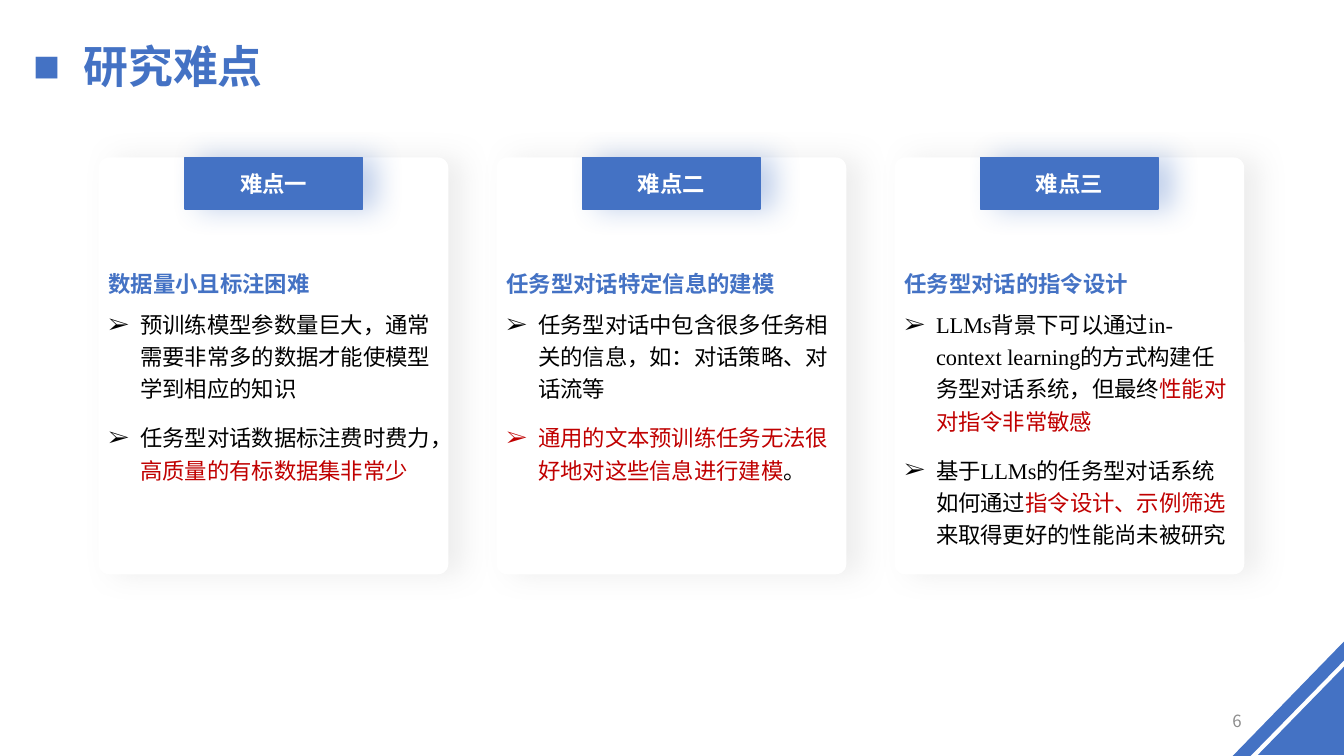
from dataclasses import dataclass

from lxml import etree
from pptx import Presentation
from pptx.dml.color import RGBColor
from pptx.enum.shapes import MSO_SHAPE
from pptx.enum.text import MSO_ANCHOR, MSO_AUTO_SIZE, PP_ALIGN
from pptx.oxml.ns import qn
from pptx.util import Emu, Pt

RECTANGLE = MSO_SHAPE.RECTANGLE
ROUNDED = MSO_SHAPE.ROUNDED_RECTANGLE
RIGHT_TRIANGLE = MSO_SHAPE.RIGHT_TRIANGLE
MIDDLE = MSO_ANCHOR.MIDDLE
GROW = MSO_AUTO_SIZE.SHAPE_TO_FIT_TEXT
CENTER = PP_ALIGN.CENTER
RIGHT = PP_ALIGN.RIGHT
EMU_PER_PX = 9525
PAGE_WIDTH, PAGE_HEIGHT = 1280, 720


@dataclass(frozen=True)
class Theme:
    blue: str = "4472C4"
    white: str = "FFFFFF"
    black: str = "000000"
    red: str = "C00000"
    gray: str = "8C8C8C"
    shade: str = "A6A6A6"
    latin: str = "Times New Roman"
    chinese: str = "Noto Sans CJK SC"
    title_size: int = 32
    text_size: int = 16
    number_size: int = 12


THEME = Theme()

CARDS = [
    ("难点一", "数据量小且标注困难", [
        [("预训练模型参数量巨大，通常需要非常多的数据才能使模型学到相应的知识", THEME.black)],
        [("任务型对话数据标注费时费力，", THEME.black), ("高质量的有标数据集非常少", THEME.red)],
    ]),
    ("难点二", "任务型对话特定信息的建模", [
        [("任务型对话中包含很多任务相关的信息，如：对话策略、对话流等", THEME.black)],
        [("通用的文本预训练任务无法很好地对这些信息进行建模", THEME.red), ("。", THEME.black)],
    ]),
    ("难点三", "任务型对话的指令设计", [
        [("LLMs背景下可以通过in-context learning的方式构建任务型对话系统，但最终", THEME.black),
         ("性能对对指令非常敏感", THEME.red)],
        [("基于LLMs的任务型对话系统如何通过", THEME.black), ("指令设计、示例筛选", THEME.red),
         ("来取得更好的性能尚未被研究", THEME.black)],
    ]),
]


def px(length):
    return Emu(length * EMU_PER_PX)


def add_span(para, text, size, color, bold=False, latin=THEME.latin):
    span = para.add_run()
    span.text = text
    span.font.size = Pt(size)
    span.font.bold = bold
    span.font.color.rgb = RGBColor.from_string(color)
    span.font.name = latin
    etree.SubElement(span.font._element, qn("a:ea"), typeface=THEME.chinese)


def set_bullet(para, symbol, indent):
    properties = para._p.get_or_add_pPr()
    properties.set("marL", str(px(indent)))
    properties.set("indent", str(-px(indent)))
    etree.SubElement(properties, qn("a:buFont"), typeface=THEME.latin)
    etree.SubElement(properties, qn("a:buChar"), char=symbol)


def add_text_box(page, left, top, width, height):
    box = page.shapes.add_textbox(px(left), px(top), px(width), px(height))
    box.text_frame.word_wrap = True
    return box.text_frame


def paint(shape, color):
    shape.fill.solid()
    shape.fill.fore_color.rgb = RGBColor.from_string(color)
    shape.line.fill.background()
    shape.shadow.inherit = False


def add_block(page, kind, left, top, width, height, color):
    shape = page.shapes.add_shape(kind, px(left), px(top), px(width), px(height))
    paint(shape, color)
    return shape


def add_glow(shape, color, percent):
    effects = shape._element.spPr.find(qn("a:effectLst"))
    shadow = etree.SubElement(effects, qn("a:outerShdw"), blurRad=str(Pt(20)),
                              dist=str(Pt(10)), dir="0", algn="l", rotWithShape="0")
    tone = etree.SubElement(shadow, qn("a:srgbClr"), val=color)
    etree.SubElement(tone, qn("a:alpha"), val=str(percent * 1000))


def add_title(page, left, top, width, height, text):
    frame = add_text_box(page, left, top, width, height)
    frame.auto_size = GROW
    para = frame.paragraphs[0]
    para.line_spacing = 1.5
    set_bullet(para, "■", 48)
    add_span(para, text, THEME.title_size, THEME.blue, True, THEME.chinese)


def add_corner(page, right, bottom):
    triangle = add_block(page, RIGHT_TRIANGLE, right - 83, bottom - 84, 84, 82, THEME.blue)
    triangle.rotation = 270
    builder = page.shapes.build_freeform(right - 106, bottom, scale=EMU_PER_PX)
    builder.add_line_segments([(right, bottom - 109), (right, bottom - 91), (right - 89, bottom)])
    paint(builder.convert_to_shape(), THEME.blue)


def add_card(page, left, top, width, height, label, heading, points):
    panel = add_block(page, ROUNDED, left, top, width, height, THEME.white)
    panel.adjustments[0] = 0.03
    add_glow(panel, THEME.shade, 20)

    tab_width = 169
    tab = add_block(page, RECTANGLE, left + (width - tab_width) // 2, top, tab_width, 49, THEME.blue)
    tab.line.color.rgb = RGBColor.from_string(THEME.blue)
    tab.line.width = Pt(1)
    add_glow(tab, THEME.blue, 32)
    tab.text_frame.vertical_anchor = MIDDLE
    para = tab.text_frame.paragraphs[0]
    para.alignment = CENTER
    add_span(para, label, THEME.text_size, THEME.white, True)

    frame = add_text_box(page, left, top + 90, width, 225)
    frame.auto_size = GROW
    para = frame.paragraphs[0]
    para.line_spacing = 1.5
    add_span(para, heading, THEME.text_size, THEME.blue, True)
    for point in points:
        para = frame.add_paragraph()
        para.line_spacing = 1.2
        para.space_before = para.space_after = Pt(6)
        set_bullet(para, "➢", 30)
        for text, color in point:
            add_span(para, text, THEME.text_size, color)


def add_page_number(page, left, top, width, height, number):
    frame = add_text_box(page, left, top, width, height)
    frame.vertical_anchor = MIDDLE
    para = frame.paragraphs[0]
    para.alignment = RIGHT
    add_span(para, number, THEME.number_size, THEME.gray, latin=THEME.chinese)


def main():
    deck = Presentation()
    deck.slide_width, deck.slide_height = px(PAGE_WIDTH), px(PAGE_HEIGHT)
    page = deck.slides.add_slide(deck.slide_layouts[6])
    add_title(page, 22, 7, 1097, 78, "研究难点")
    add_corner(page, PAGE_WIDTH, PAGE_HEIGHT)
    for index, card in enumerate(CARDS):
        add_card(page, 94 + index * 379, 150, 333, 397, *card)
    add_page_number(page, 904, 667, 288, 38, "6")
    deck.save("out.pptx")


if __name__ == "__main__":
    main()
